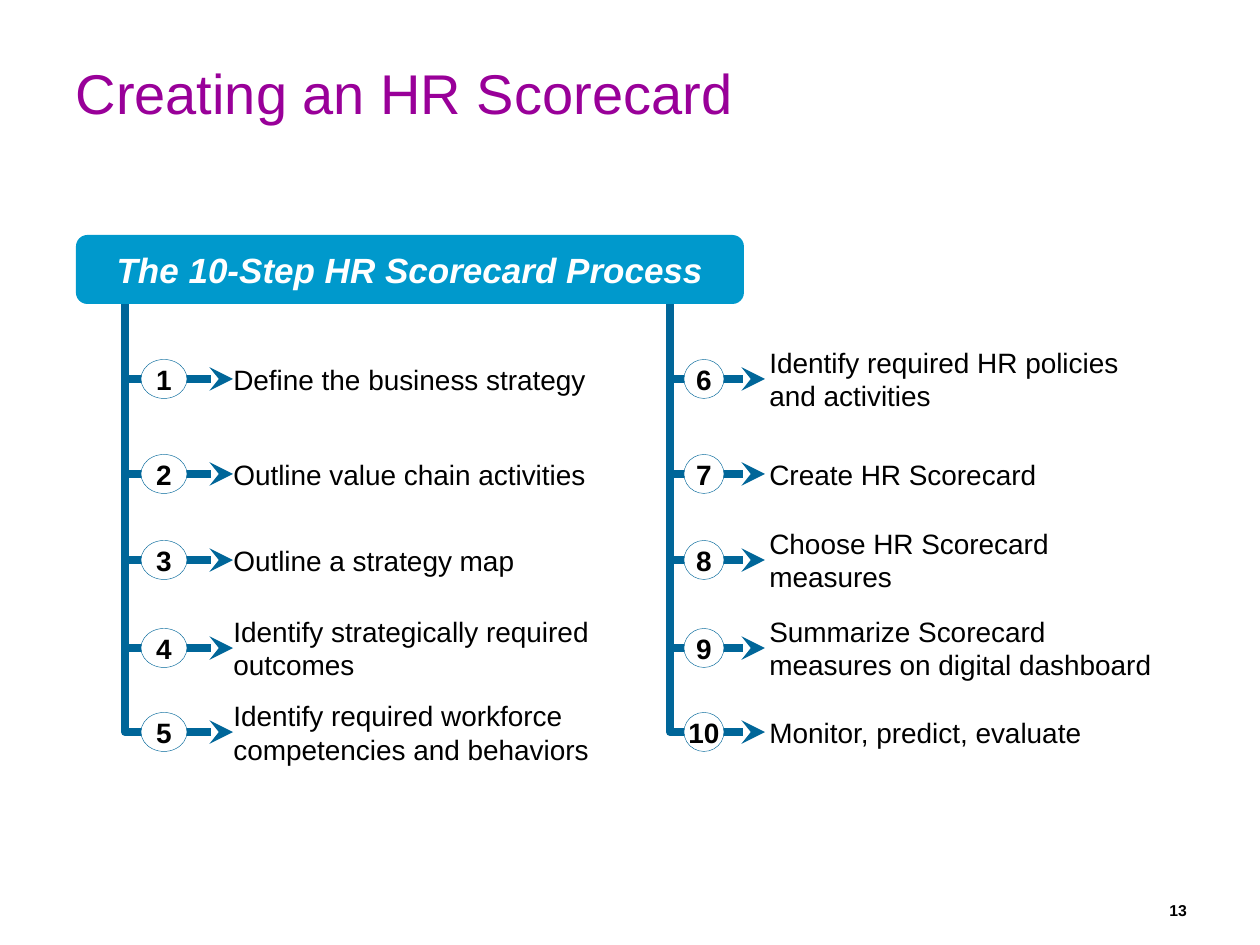
from dataclasses import dataclass

from lxml.etree import SubElement
from pptx import Presentation
from pptx.dml.color import RGBColor
from pptx.enum.shapes import MSO_SHAPE as Shape
from pptx.enum.text import MSO_ANCHOR as Anchor, MSO_AUTO_SIZE as AutoSize, PP_ALIGN as Align
from pptx.oxml.ns import qn
from pptx.util import Emu, Pt


@dataclass(frozen=True)
class Theme:
    font: str = "Arial"
    purple: RGBColor = RGBColor(0x99, 0x00, 0x99)
    blue: RGBColor = RGBColor(0x00, 0x66, 0x99)
    cyan: RGBColor = RGBColor(0x00, 0x99, 0xCC)
    black: RGBColor = RGBColor(0x00, 0x00, 0x00)
    white: RGBColor = RGBColor(0xFF, 0xFF, 0xFF)
    title_size: int = 32
    header_size: int = 20
    step_size: int = 16
    number_size: int = 9


theme = Theme()
EMU_PER_PX = 914400 / 126


def px(*lengths):
    return [Emu(round(length * EMU_PER_PX)) for length in lengths]


def write(shape, text, size, color, align=Align.LEFT, anchor=Anchor.MIDDLE,
          bold=False, italic=False, wrap=True):
    frame = shape.text_frame
    frame.auto_size = AutoSize.NONE
    frame.word_wrap = wrap
    frame.vertical_anchor = anchor
    paragraph = frame.paragraphs[0]
    paragraph.alignment = align
    run = paragraph.add_run()
    run.text = text
    run.font.name = theme.font
    run.font.size = Pt(size)
    run.font.color.rgb = color
    run.font.bold = bold
    run.font.italic = italic
    return frame


deck = Presentation()
deck.slide_width, deck.slide_height = px(1260, 945)
slide = deck.slides.add_slide(deck.slide_layouts[5])
shapes = slide.shapes

title = shapes.title
title.left, title.top, title.width, title.height = px(63, 52, 1131, 80)
write(title, "Creating an HR Scorecard", theme.title_size, theme.purple, anchor=Anchor.BOTTOM)

rows = [(379, 125), (474, 125), (560, 218), (648, 218), (732, 218)]
columns = [
    (125, 108, 141, 46, 221, [
        "Define the business strategy",
        "Outline value chain activities",
        "Outline a strategy map",
        "Identify strategically required outcomes",
        "Identify required workforce competencies and behaviors",
    ]),
    (670, 95, 684, 40, 757, [
        "Identify required HR policies and activities",
        "Create HR Scorecard",
        "Choose HR Scorecard measures",
        "Summarize Scorecard measures on digital dashboard",
        "Monitor, predict, evaluate",
    ]),
]
badge_height, label_width, label_height = 39, 415, 59

step_number = 0
for spine, reach, badge_left, badge_width, label_left, steps in columns:
    for (middle, drop), step in zip(rows, steps):
        step_number += 1
        outline = shapes.build_freeform(spine, middle - drop, scale=EMU_PER_PX)
        outline.add_line_segments([(spine, middle), (spine + reach, middle)], close=False)
        branch = outline.convert_to_shape()
        branch.shadow.inherit = False
        branch.fill.background()
        branch.line.color.rgb = theme.blue
        branch.line.width = Pt(4.5)
        SubElement(branch.line._get_or_add_ln(), qn("a:round"))
        SubElement(branch.line._get_or_add_ln(), qn("a:tailEnd"), type="stealth")

        badge = shapes.add_shape(
            Shape.OVAL, *px(badge_left, middle - badge_height / 2, badge_width, badge_height))
        badge.shadow.inherit = False
        badge.fill.solid()
        badge.fill.fore_color.rgb = theme.white
        badge.line.color.rgb = theme.blue
        badge.line.width = Pt(0.25)
        write(badge, str(step_number), theme.step_size, theme.black,
              align=Align.CENTER, bold=True, wrap=False)

        label = shapes.add_textbox(
            *px(label_left, middle - label_height / 2, label_width, label_height))
        write(label, step, theme.step_size, theme.black)

header = shapes.add_shape(Shape.ROUNDED_RECTANGLE, *px(76, 235, 668, 69))
header.shadow.inherit = False
header.fill.solid()
header.fill.fore_color.rgb = theme.cyan
header.line.fill.background()
write(header, "The 10-Step HR Scorecard Process", theme.header_size, theme.white,
      align=Align.CENTER, bold=True, italic=True)

page = shapes.add_textbox(*px(882, 876, 305, 50))
page_frame = write(page, "13", theme.number_size, theme.black,
                   align=Align.RIGHT, anchor=Anchor.BOTTOM, bold=True)
page_frame.margin_left = page_frame.margin_right = 0

deck.save("out.pptx")
